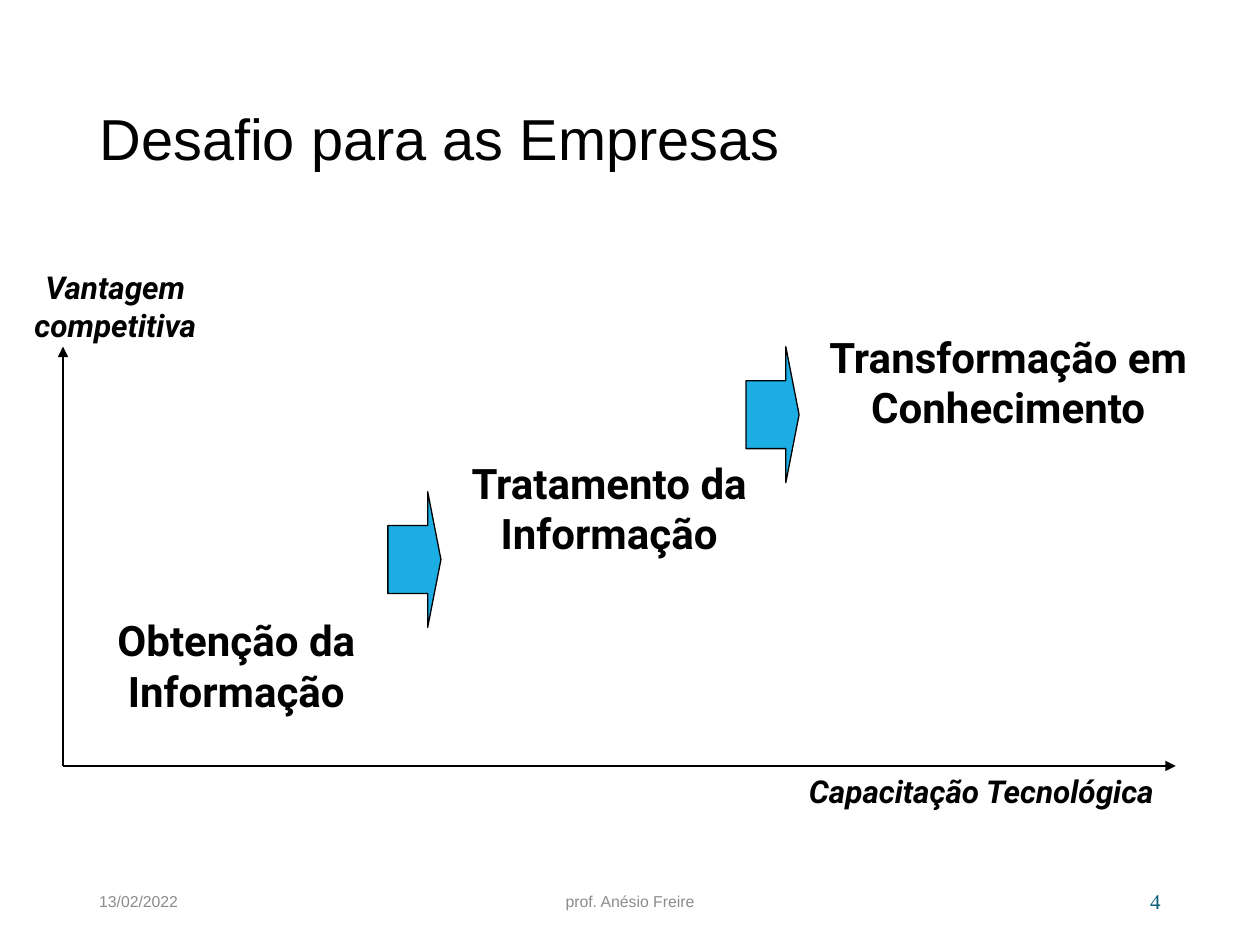
from dataclasses import dataclass
from lxml import etree
from pptx import Presentation
from pptx.dml.color import RGBColor
from pptx.enum.shapes import MSO_CONNECTOR, MSO_SHAPE
from pptx.enum.text import MSO_ANCHOR, MSO_AUTO_SIZE, PP_ALIGN
from pptx.oxml.ns import qn
from pptx.util import Cm, Pt

LEFT, CENTER, RIGHT = PP_ALIGN.LEFT, PP_ALIGN.CENTER, PP_ALIGN.RIGHT
TOP, MIDDLE = MSO_ANCHOR.TOP, MSO_ANCHOR.MIDDLE
STRAIGHT, RIGHT_ARROW = MSO_CONNECTOR.STRAIGHT, MSO_SHAPE.RIGHT_ARROW


@dataclass(frozen=True)
class Theme:
    ink: RGBColor = RGBColor.from_string("000000")
    muted: RGBColor = RGBColor.from_string("8C8C8C")
    number: RGBColor = RGBColor.from_string("045C75")
    accent: RGBColor = RGBColor.from_string("1CADE4")
    title_size: Pt = Pt(33)
    step_size: Pt = Pt(24)
    axis_size: Pt = Pt(18)
    number_size: Pt = Pt(12)
    footer_size: Pt = Pt(9)
    line_width: Pt = Pt(0.75)


theme = Theme()


def write(box, text, style, align, anchor):
    frame = box.text_frame
    frame.word_wrap = True
    frame.auto_size = MSO_AUTO_SIZE.NONE
    frame.vertical_anchor = anchor
    para = frame.paragraphs[0]
    para.alignment = align
    span = para.add_run()
    span.text = text
    span.font.color.rgb = style["color"]
    for name, value in style["font"].items():
        setattr(span.font, name, value)
    return para


title_style = {"color": theme.ink, "font": {"name": "Arial", "size": theme.title_size}}
footer_style = {"color": theme.muted, "font": {"name": "Arial", "size": theme.footer_size}}
number_style = {"color": theme.number,
                "font": {"name": "Times New Roman", "size": theme.number_size}}
step_style = {"color": theme.ink,
              "font": {"name": "Roboto", "size": theme.step_size, "bold": True}}
axis_style = {"color": theme.ink,
              "font": {"name": "Roboto", "size": theme.axis_size, "bold": True, "italic": True}}

deck = Presentation()
deck.slide_width, deck.slide_height = Cm(25.4), Cm(19.05)
page = deck.slides.add_slide(deck.slide_layouts[5])

title = page.shapes.title
title_place = {"left": Cm(1.75), "top": Cm(1.02), "width": Cm(21.9), "height": Cm(3.68)}
for name, value in title_place.items():
    setattr(title, name, value)
write(title, "Desafio para as Empresas", title_style, LEFT, MIDDLE).line_spacing = 0.9

labels = [
    ("13/02/2022", (1.75, 17.65, 5.72, 1.02), footer_style, LEFT, MIDDLE),
    ("prof. Anésio Freire", (8.41, 17.65, 8.58, 1.02), footer_style, CENTER, MIDDLE),
    ("4", (17.93, 17.65, 5.72, 1.02), number_style, RIGHT, MIDDLE),
    ("Vantagem competitiva", (0, 5.28, 4.65, 1.78), axis_style, CENTER, TOP),
    ("Capacitação Tecnológica", (15.24, 15.44, 9.09, 1.02), axis_style, CENTER, TOP),
    ("Obtenção da Informação", (1.27, 12.27, 6.99, 2.29), step_style, CENTER, TOP),
    ("Tratamento da Informação", (8.89, 9.09, 6.78, 2.29), step_style, CENTER, TOP),
    ("Transformação em Conhecimento", (15.88, 6.55, 8.89, 2.29), step_style, CENTER, TOP),
]
for text, place, style, align, anchor in labels:
    box = page.shapes.add_textbox(*map(Cm, place))
    write(box, text, style, align, anchor)

origin = (1.27, 15.44)
for end in [(23.7, 15.44), (1.27, 6.99)]:
    axis = page.shapes.add_connector(STRAIGHT, *map(Cm, origin + end))
    axis.line.color.rgb = theme.ink
    axis.line.width = theme.line_width
    etree.SubElement(axis.line._get_or_add_ln(), qn("a:tailEnd"), type="triangle")
    etree.SubElement(axis._element.spPr, qn("a:effectLst"))

for left, top in [(7.82, 9.91), (15.04, 6.99)]:
    arrow = page.shapes.add_shape(RIGHT_ARROW, Cm(left), Cm(top), Cm(1.07), Cm(2.74))
    arrow.adjustments[0] = 0.5
    arrow.adjustments[1] = 0.25
    arrow.shadow.inherit = False
    arrow.fill.solid()
    arrow.fill.fore_color.rgb = theme.accent
    arrow.line.color.rgb = theme.ink
    arrow.line.width = theme.line_width

deck.save("out.pptx")
